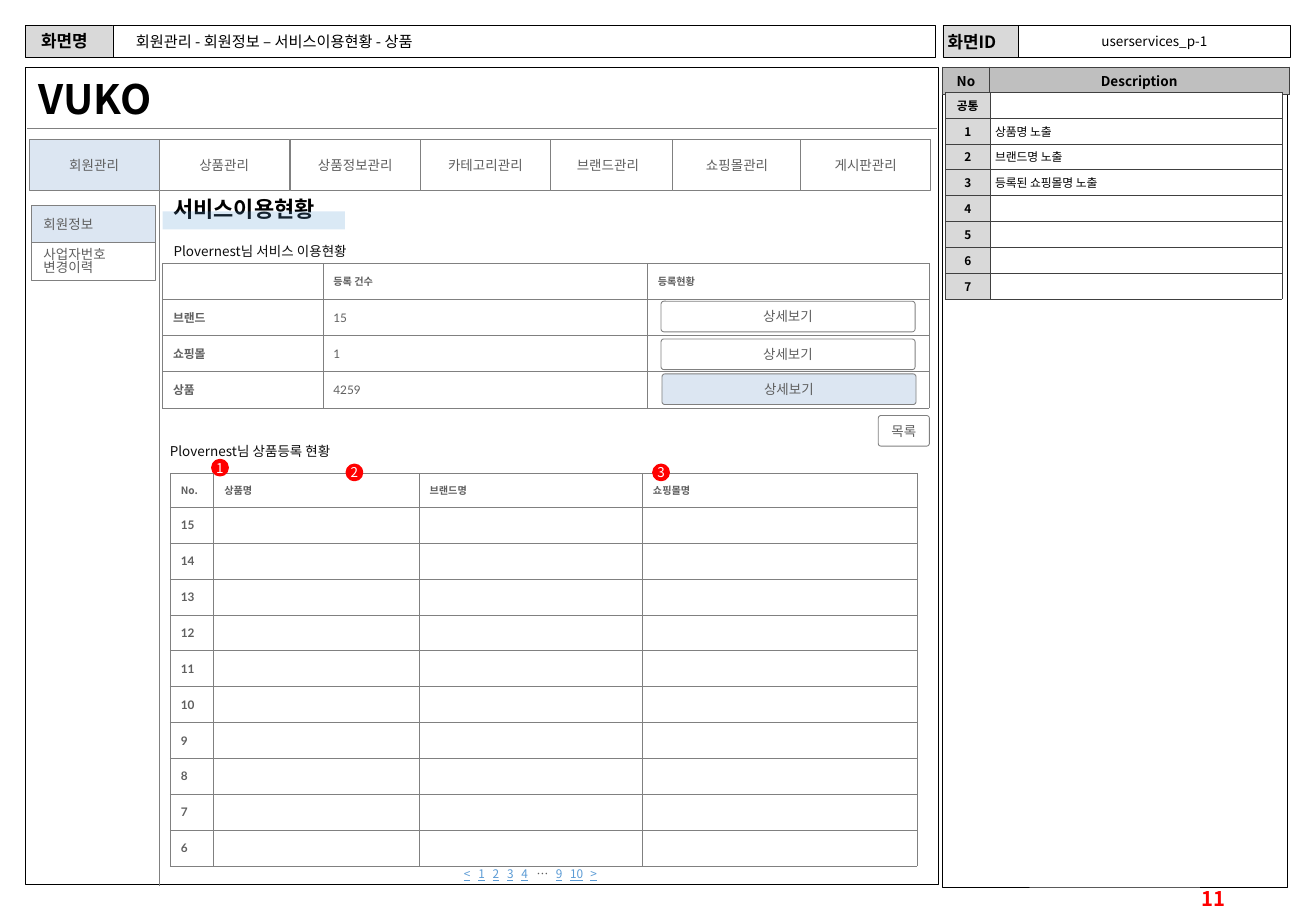
from dataclasses import dataclass

from lxml.etree import SubElement
from pptx import Presentation
from pptx.dml.color import RGBColor
from pptx.enum.shapes import MSO_CONNECTOR, MSO_SHAPE
from pptx.enum.text import MSO_ANCHOR, PP_ALIGN
from pptx.oxml.ns import qn
from pptx.util import Cm, Pt


@dataclass(frozen=True)
class Theme:
    sans: str = "Noto Sans CJK KR"
    latin: str = "Lato"
    black: str = "000000"
    white: str = "FFFFFF"
    ink: str = "0D0D0D"
    gray: str = "5F5F5F"
    rule: str = "808080"
    grid: str = "404040"
    head: str = "BFBFBF"
    label: str = "D9D9D9"
    active: str = "DCE6F2"
    link: str = "5B9BD5"
    red: str = "FF0000"
    tiny: int = 6
    small: int = 7
    body: int = 8
    path_size: int = 9
    caption: int = 10
    number: int = 12
    heading: int = 13
    logo: int = 24


theme = Theme()
LEFT, CENTER, RIGHT = PP_ALIGN.LEFT, PP_ALIGN.CENTER, PP_ALIGN.RIGHT
TOP, MIDDLE = MSO_ANCHOR.TOP, MSO_ANCHOR.MIDDLE


def write(paragraph, text, *, size, color=theme.black, font=theme.sans,
          bold=False, underline=False, align=LEFT):
    paragraph.alignment = align
    if not text:
        paragraph._p.get_or_add_endParaRPr().set("sz", str(size * 100))
        return
    run = paragraph.add_run()
    run.text = text
    run.font.size = Pt(size)
    run.font.bold = bold
    run.font.underline = underline
    run.font.color.rgb = RGBColor.from_string(color)
    run.font.name = font
    SubElement(run._r.rPr, qn("a:ea"), typeface=theme.sans)


presentation = Presentation()
presentation.slide_width = Cm(27.51)
presentation.slide_height = Cm(19.05)
slide = presentation.slides.add_slide(presentation.slide_layouts[6])
shapes = slide.shapes

frames = [
    (0.53, 0.53, 1.83, 0.66, theme.label),
    (0.53, 1.4, 19.08, 17.09, theme.white),
    (2.36, 0.53, 17.2, 0.66, theme.white),
    (19.71, 0.53, 1.57, 0.66, theme.label),
    (21.29, 0.53, 5.69, 0.66, theme.white),
    (19.69, 1.4, 7.21, 17.15, theme.white),
]
for left, top, width, height, fill in frames:
    frame = shapes.add_shape(MSO_SHAPE.RECTANGLE, Cm(left), Cm(top), Cm(width), Cm(height))
    frame.shadow.inherit = False
    frame.fill.solid()
    frame.fill.fore_color.rgb = RGBColor.from_string(fill)
    frame.line.color.rgb = RGBColor.from_string(theme.black)
    frame.line.width = Pt(0.25)

bold_head = dict(size=theme.body, bold=True, align=CENTER)
bold_key = dict(size=theme.small, bold=True, align=CENTER)
note = dict(size=theme.small)
column_head = dict(size=theme.tiny, color=theme.gray, bold=True)
row_head = dict(size=theme.small, color=theme.gray, font=theme.latin, bold=True)
value = dict(size=theme.small, color=theme.gray, font=theme.latin)

descriptions = ["", "상품명 노출", "브랜드명 노출", "등록된 쇼핑몰명 노출", "", "", "", ""]
description_rows = [["공통" if i == 0 else str(i), text] for i, text in enumerate(descriptions)]
usage_rows = [["", "등록 건수", "등록현황"], ["브랜드", "15", ""],
              ["쇼핑몰", "1", ""], ["상품", "4259", ""]]
product_rows = [["No.", "상품명", "브랜드명", "쇼핑몰명"]]
product_rows += [[str(number), "", "", ""] for number in range(15, 5, -1)]

tables = [
    (19.71, 1.4, [0.97, 6.27], 0.55, 0.55, [["No", "Description"]],
     (bold_head, bold_head, bold_head), (theme.head, theme.head), theme.grid, (0.1, 0.08)),
    (19.76, 1.93, [0.94, 6.1], 0.54, 0.54, description_rows,
     (None, bold_key, note), (theme.label, theme.white), theme.grid, (0.1, 0.08)),
    (3.4, 5.51, [3.35, 6.78, 5.89], 0.75, 0.75, usage_rows,
     (column_head, row_head, value), None, theme.rule, (0.22, 0.2)),
    (3.56, 9.9, [0.91, 4.29, 4.67, 5.74], 0.71, 0.75, product_rows,
     (column_head, row_head, value), None, theme.rule, (0.22, 0.2)),
]
for left, top, widths, head_height, row_height, rows, formats, fills, border, margins in tables:
    heights = [head_height] + [row_height] * (len(rows) - 1)
    table = shapes.add_table(len(rows), len(widths), Cm(left), Cm(top),
                             Cm(sum(widths)), Cm(sum(heights))).table
    table.first_row = table.horz_banding = False
    for column, width in zip(table.columns, widths):
        column.width = Cm(width)
    head_format, key_format, cell_format = formats
    for r, texts in enumerate(rows):
        table.rows[r].height = Cm(heights[r])
        for c, text in enumerate(texts):
            cell = table.cell(r, c)
            cell.margin_left = cell.margin_right = Cm(margins[0])
            cell.margin_top = cell.margin_bottom = Cm(margins[1])
            cell.vertical_anchor = MIDDLE
            body_format = key_format if c == 0 else cell_format
            write(cell.text_frame.paragraphs[0], text,
                  **(head_format if r == 0 and head_format else body_format))
            properties = cell._tc.get_or_add_tcPr()
            for side in ("a:lnL", "a:lnR", "a:lnT", "a:lnB"):
                edge = SubElement(properties, qn(side), w=str(Pt(0.5)))
                SubElement(SubElement(edge, qn("a:solidFill")), qn("a:srgbClr"), val=border)
            if fills:
                cell.fill.solid()
                cell.fill.fore_color.rgb = RGBColor.from_string(fills[c])
            else:
                cell.fill.background()

for x1, y1, x2, y2 in [(3.33, 3.99, 3.33, 18.52), (0.56, 2.69, 19.58, 2.69)]:
    divider = shapes.add_connector(MSO_CONNECTOR.STRAIGHT, Cm(x1), Cm(y1), Cm(x2), Cm(y2))
    divider.line.color.rgb = RGBColor.from_string(theme.rule)
    divider.line.width = Pt(0.5)
    SubElement(divider._element.spPr, qn("a:effectLst"))

caption = dict(size=theme.caption, bold=True)
subtitle = dict(size=theme.body, color=theme.ink)
labels = [
    (0.61, 0.51, 1.75, 0.69, TOP, "화면명", caption),
    (19.56, 0.53, 2.59, 0.69, TOP, "화면ID", caption),
    (2.59, 0.58, 16.76, 0.58, MIDDLE, "회원관리 - 회원정보 – 서비스이용현황 - 상품",
     dict(size=theme.path_size)),
    (21.29, 0.53, 5.69, 0.66, MIDDLE, "userservices_p-1", dict(size=theme.body, align=CENTER)),
    (24.41, 18.52, 1.45, 0.53, MIDDLE, "11",
     dict(size=theme.number, color=theme.red, bold=True, align=RIGHT)),
    (0.56, 1.42, 3.68, 1.27, TOP, "VUKO", dict(size=theme.logo, bold=True)),
    (3.38, 3.96, 3.73, 0.81, TOP, "서비스이용현황", dict(size=theme.heading, bold=True)),
    (3.38, 4.95, 4.88, 0.61, TOP, "Plovernest님 서비스 이용현황", subtitle),
    (3.3, 9.14, 4.88, 0.61, TOP, "Plovernest님 상품등록 현황", subtitle),
]
for left, top, width, height, anchor, text, style in labels:
    label = shapes.add_textbox(Cm(left), Cm(top), Cm(width), Cm(height)).text_frame
    label.word_wrap = True
    label.vertical_anchor = anchor
    write(label.paragraphs[0], text, **style)

highlight = shapes.add_shape(MSO_SHAPE.RECTANGLE, Cm(3.4), Cm(4.42), Cm(3.81), Cm(0.38))
highlight.shadow.inherit = False
highlight.fill.solid()
highlight.fill.fore_color.rgb = RGBColor.from_string(theme.link)
SubElement(highlight._element.spPr.find(qn("a:solidFill"))[0], qn("a:alpha"), val="22000")
highlight.line.fill.background()

menu = dict(size=theme.body, color=theme.gray, align=CENTER)
side_menu = dict(size=theme.body, color=theme.gray)
action = dict(size=theme.body, color=theme.gray, font=theme.latin, align=CENTER)
badge = dict(size=theme.body, color=theme.white, align=CENTER)
BOX, ROUNDED, DOT = MSO_SHAPE.RECTANGLE, MSO_SHAPE.ROUNDED_RECTANGLE, MSO_SHAPE.OVAL
detail_size, menu_size, side_size, dot_size = (5.31, 0.64), (2.72, 1.07), (2.59, 0.79), (0.3, 0.3)

controls = [
    (ROUNDED, 13.82, 6.3, detail_size, "상세보기", theme.white, action),
    (ROUNDED, 13.82, 7.09, detail_size, "상세보기", theme.white, action),
    (ROUNDED, 13.84, 7.82, detail_size, "상세보기", theme.active, action),
    (ROUNDED, 18.36, 8.69, (1.07, 0.64), "목록", theme.white, action),
]
menu_items = [(0.61, "회원관리"), (3.33, "상품관리"), (11.35, "브랜드관리"), (14.05, "쇼핑몰관리"),
              (8.79, "카테고리관리"), (16.74, "게시판관리"), (6.07, "상품정보관리")]
controls += [(BOX, left, 2.92, menu_size, text,
              theme.active if text == "회원관리" else theme.white, menu)
             for left, text in menu_items]
controls += [
    (BOX, 0.66, 4.29, side_size, "회원정보", theme.active, side_menu),
    (BOX, 0.66, 5.08, side_size, "사업자번호\n변경이력", theme.white, side_menu),
    (DOT, 4.45, 9.63, dot_size, "1", theme.red, badge),
    (DOT, 7.26, 9.73, dot_size, "2", theme.red, badge),
    (DOT, 13.67, 9.73, dot_size, "3", theme.red, badge),
]
for outline, left, top, (width, height), text, fill, style in controls:
    control = shapes.add_shape(outline, Cm(left), Cm(top), Cm(width), Cm(height))
    control.shadow.inherit = False
    control.fill.solid()
    control.fill.fore_color.rgb = RGBColor.from_string(fill)
    control.line.color.rgb = RGBColor.from_string(theme.red if outline == DOT else theme.rule)
    control.line.width = Pt(2 if outline == DOT else 0.5)
    if outline == ROUNDED:
        control.adjustments[0] = 0.09
    content = control.text_frame
    content.vertical_anchor = MIDDLE
    content.word_wrap = outline == BOX
    if outline == DOT:
        content.margin_left = content.margin_right = content.margin_top = content.margin_bottom = 0
    lines = text.split("\n")
    for i, line in enumerate(lines):
        paragraph = content.add_paragraph() if i else content.paragraphs[0]
        if len(lines) > 1:
            paragraph.line_spacing = 0.85
        write(paragraph, line, **style)

pager = shapes.add_textbox(Cm(9.5), Cm(18.03), Cm(3.68), Cm(0.51)).text_frame
pager.word_wrap = True
pager.margin_left = pager.margin_right = Cm(0.2)
pager.margin_top = pager.margin_bottom = Cm(0.1)
pages = pager.paragraphs[0]
tab_stops = SubElement(pages._p.get_or_add_pPr(), qn("a:tabLst"))
for stop in (0.3, 0.6, 0.9, 1.2, 1.52, 1.92, 2.22, 2.64):
    SubElement(tab_stops, qn("a:tab"), pos=str(Cm(stop)), algn="l")
for i, page in enumerate(["<", "1", "2", "3", "4", "…", "9", "10", ">"]):
    if i:
        write(pages, "\t", size=theme.small, color=theme.link)
    gap = page == "…"
    write(pages, page, size=theme.small, color=theme.gray if gap else theme.link,
          underline=not gap)

presentation.save("out.pptx")
